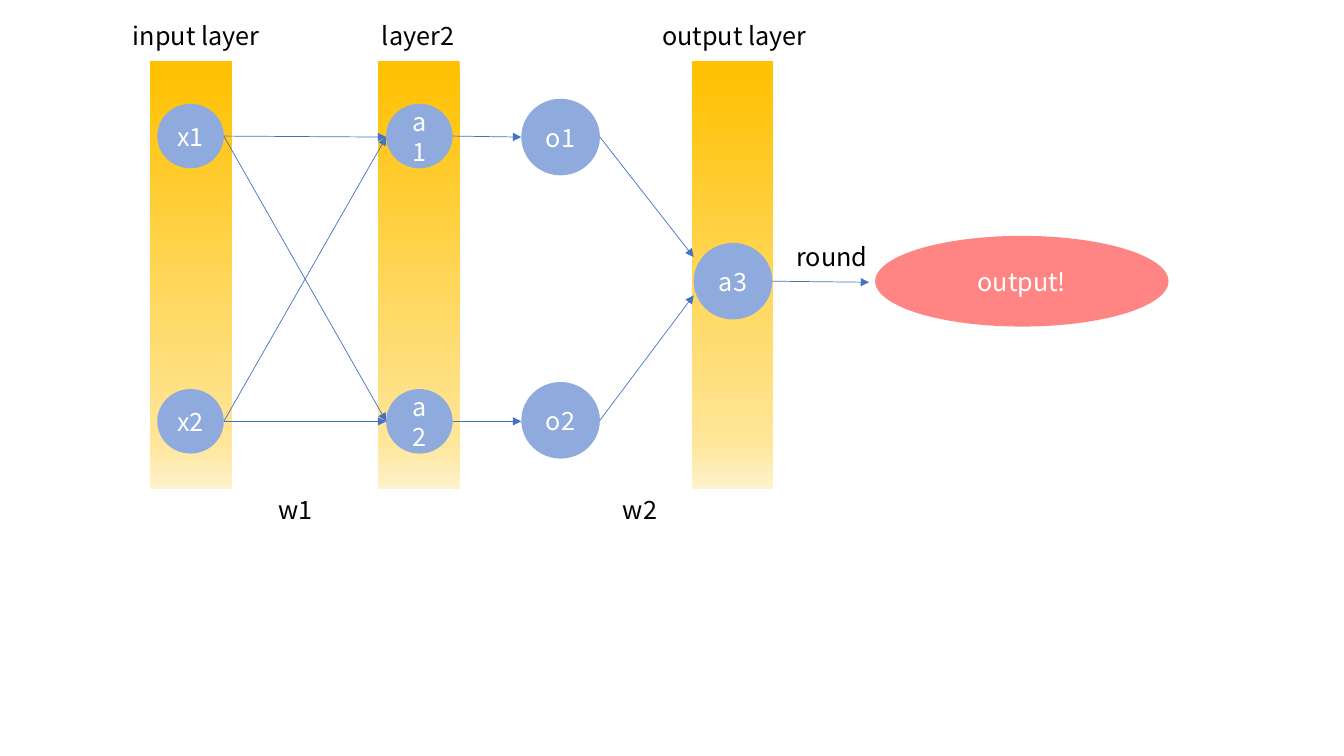
from pptx import Presentation
from pptx.dml.color import RGBColor
from pptx.enum.shapes import MSO_CONNECTOR, MSO_SHAPE
from pptx.enum.text import MSO_ANCHOR, PP_ALIGN
from pptx.oxml import parse_xml
from pptx.oxml.ns import nsdecls, qn
from pptx.util import Inches, Pt
from lxml.etree import SubElement

FONT = "Noto Sans CJK KR"
BLUE, LINE, RED, WHITE, BLACK = "8FAADC", "4472C4", "FF0000", "FFFFFF", "000000"
STOPS = [(0, "FFC000"), (89, "FFE699"), (100, "FFF2CC")]

# Rows and sizes, in inches
TOP, MID, LOW = 1.36, 2.79, 4.18
HEAD, FOOT = 0.15, 4.86
BAR = (0.81, 4.24)
SMALL, BIG, OVAL = (0.66, 0.64), (0.78, 0.76), (2.91, 0.9)

# Layer bars: left edges
bars = [1.49, 3.75, 6.86]
# Nodes: name -> (left, row centre, size, colour, opacity)
nodes = {
    "x1": (1.56, TOP - 0.01, SMALL, BLUE, 100),
    "x2": (1.56, LOW, SMALL, BLUE, 100),
    "a1": (3.83, TOP - 0.01, SMALL, BLUE, 100),
    "a2": (3.83, LOW, SMALL, BLUE, 100),
    "o1": (5.17, TOP, BIG, BLUE, 100),
    "o2": (5.17, LOW - 0.01, BIG, BLUE, 100),
    "a3": (6.88, MID, BIG, BLUE, 100),
    "output!": (8.68, MID, OVAL, RED, 48),
}
# Arrows: from, to, shift of the tip (across, down)
links = [
    ("x1", "a1", 0, 0.01), ("x1", "a2", 0, 0),
    ("x2", "a1", 0, 0.01), ("x2", "a2", 0, 0),
    ("a1", "o1", 0, 0), ("a2", "o2", 0, 0.01),
    ("o1", "a3", 0, -0.24), ("o2", "a3", 0, 0.14),
    ("a3", "output!", -0.06, 0.01),
]
# Labels: text, left, top, width
labels = [
    ("input layer", 1.22, HEAD, 1.49),
    ("layer2", 3.69, HEAD, 1.69),
    ("output layer", 6.47, HEAD, 1.69),
    ("w1", 2.66, FOOT, 0.97),
    ("w2", 6.08, FOOT, 0.97),
    ("round", 7.8, 2.34, 0.98),
]


def rgb(code):
    return RGBColor.from_string(code)


def write(frame, text, color):
    frame.word_wrap = True
    para = frame.paragraphs[0]
    para.text = text
    para.font.name, para.font.size = FONT, Pt(18)
    para.font.color.rgb = rgb(color)
    return para


def add_form(kind, left, top, size):
    form = slide.shapes.add_shape(kind, *map(Inches, (left, top, *size)))
    form.shadow.inherit = False
    form.line.fill.background()
    return form


def add_bar(left):
    bar = add_form(MSO_SHAPE.RECTANGLE, left, 0.61, BAR)
    bar.fill.gradient()
    bar.fill.gradient_angle = 270
    stops = "".join(
        f'<a:gs pos="{pos * 1000}"><a:srgbClr val="{code}"/></a:gs>'
        for pos, code in STOPS)
    old = bar._element.spPr.find(qn("a:gradFill")).find(qn("a:gsLst"))
    new = parse_xml(f'<a:gsLst {nsdecls("a")}>{stops}</a:gsLst>')
    old.getparent().replace(old, new)


def add_node(name, left, mid, size, color, alpha):
    node = add_form(MSO_SHAPE.OVAL, left, mid - size[1] / 2, size)
    node.fill.solid()
    node.fill.fore_color.rgb = rgb(color)
    if alpha < 100:
        tint = node._element.spPr.find(qn("a:solidFill"))[0]
        SubElement(tint, qn("a:alpha"), val=str(alpha * 1000))
    node.text_frame.vertical_anchor = MSO_ANCHOR.MIDDLE
    write(node.text_frame, name, WHITE).alignment = PP_ALIGN.CENTER


def add_link(start, end, across, down):
    left, mid, size = nodes[start][:3]
    tip, row = nodes[end][:2]
    ends = (left + size[0], mid, tip + across, row + down)
    link = slide.shapes.add_connector(MSO_CONNECTOR.STRAIGHT, *map(Inches, ends))
    link.line.color.rgb = rgb(LINE)
    link.line.width = Pt(0.5)
    SubElement(link.line._get_or_add_ln(), qn("a:tailEnd"), type="triangle")
    SubElement(link._element.spPr, qn("a:effectLst"))


deck = Presentation()
deck.slide_width, deck.slide_height = Inches(13.33), Inches(7.5)
slide = deck.slides.add_slide(deck.slide_layouts[6])

# Bars at the back, then nodes and arrows
for left in bars:
    add_bar(left)
for name, facts in nodes.items():
    add_node(name, *facts)
for link in links:
    add_link(*link)

# Labels
for text, left, top, width in labels:
    box = slide.shapes.add_textbox(*map(Inches, (left, top, width, 0.4)))
    write(box.text_frame, text, BLACK)

deck.save("out.pptx")
